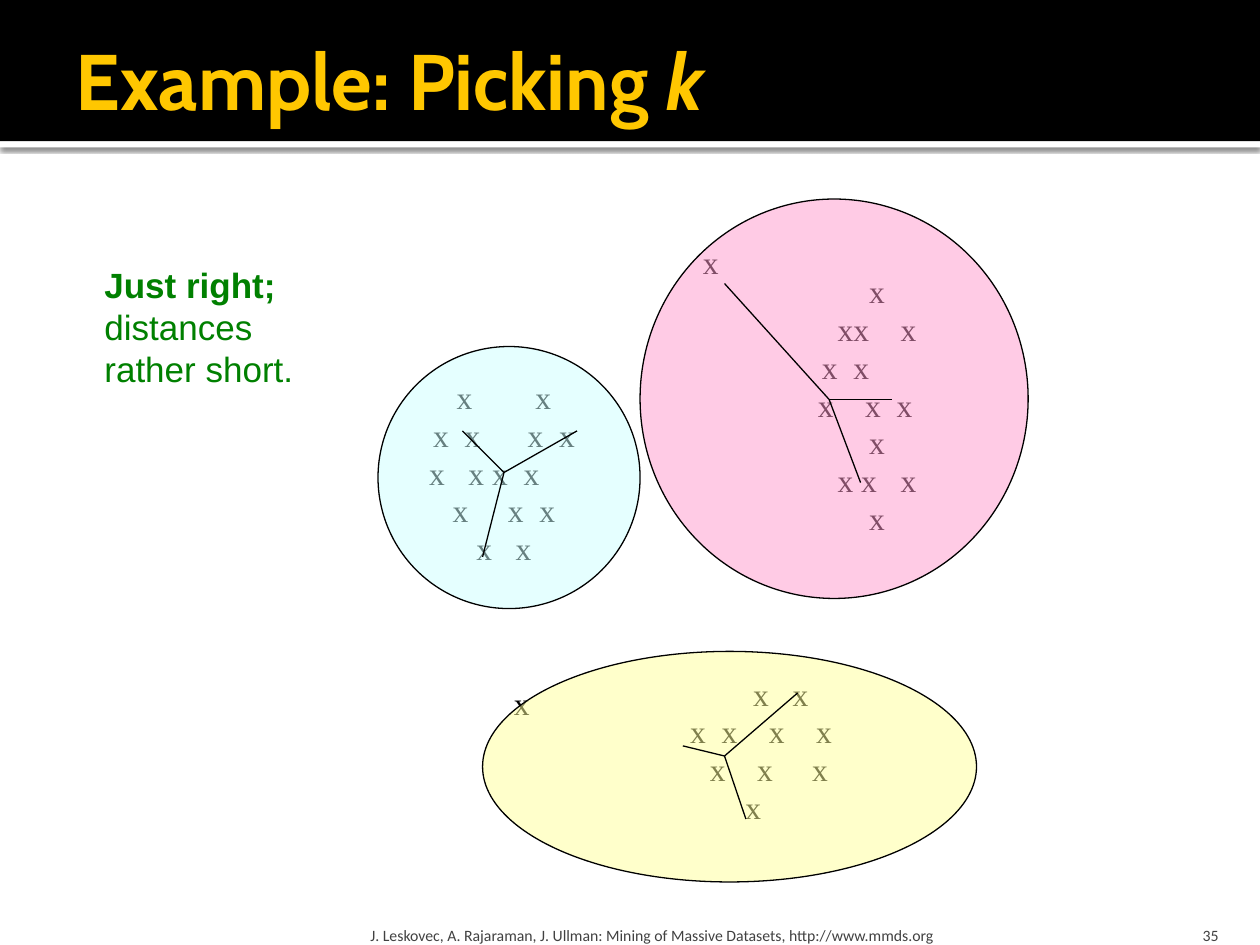
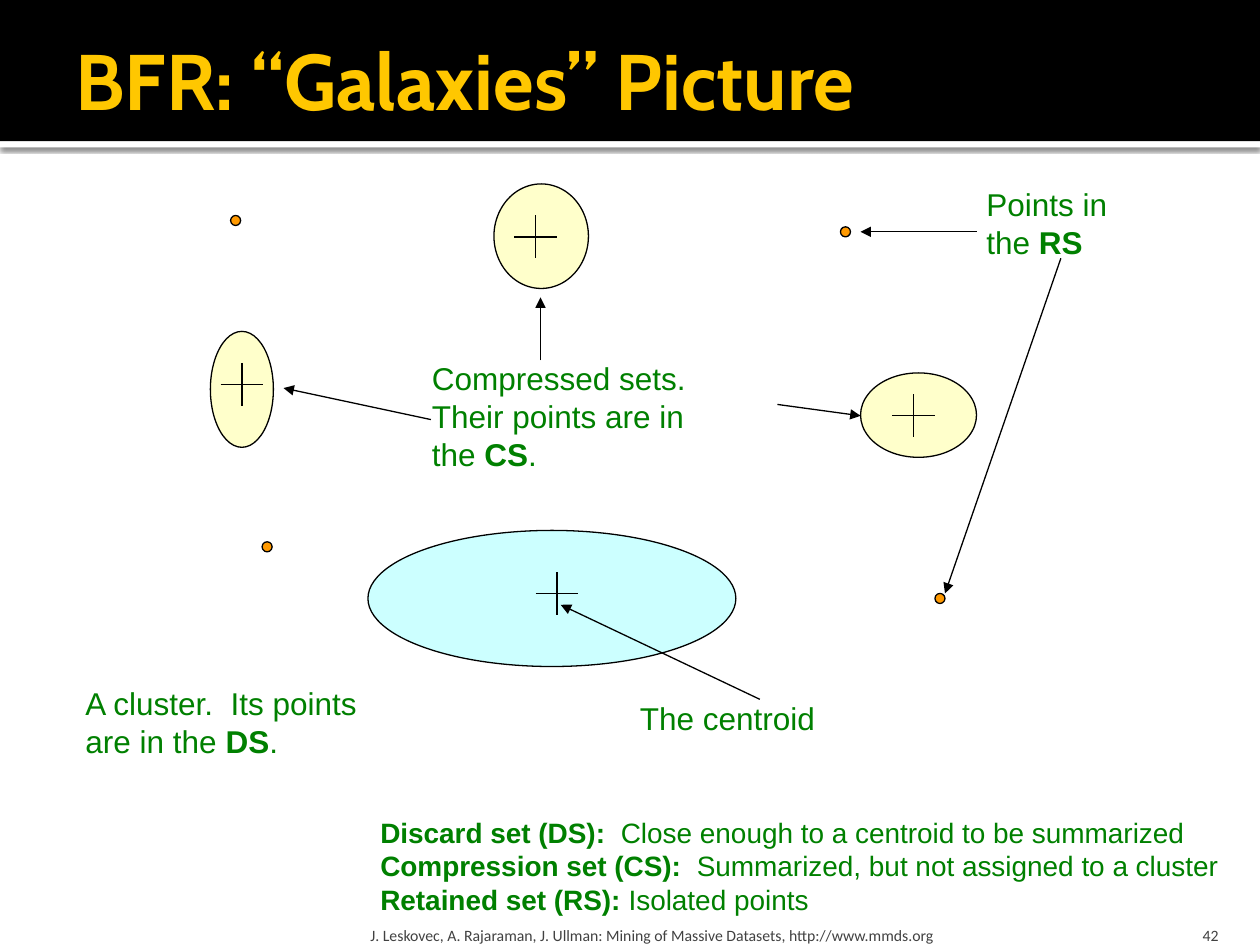
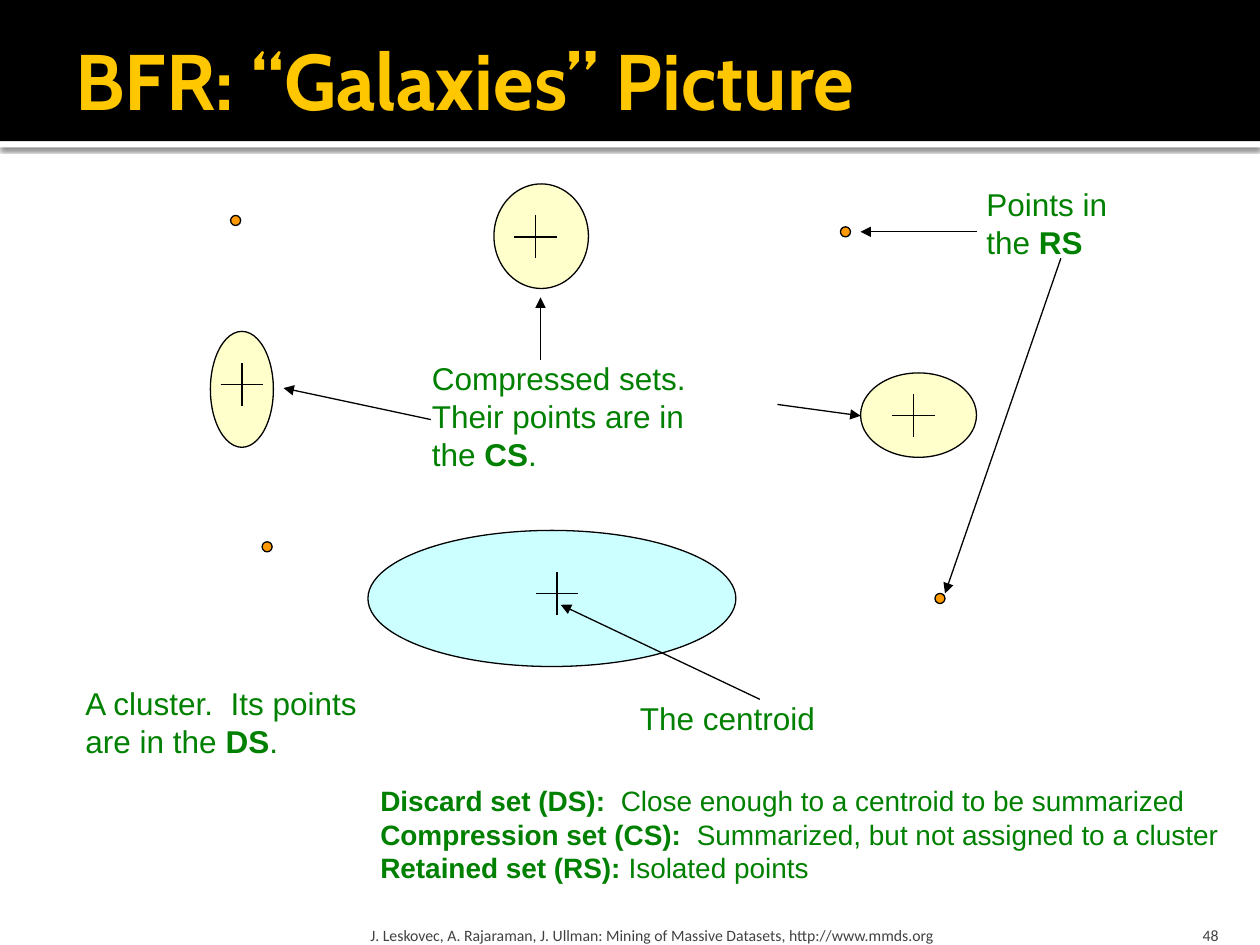
from dataclasses import dataclass

from lxml.etree import SubElement
from pptx import Presentation
from pptx.dml.color import RGBColor
from pptx.enum.shapes import MSO_CONNECTOR, MSO_SHAPE
from pptx.enum.text import MSO_ANCHOR, PP_ALIGN
from pptx.oxml.ns import qn
from pptx.util import Inches, Pt

BLACK = RGBColor(0x00, 0x00, 0x00)
WHITE = RGBColor(0xFF, 0xFF, 0xFF)
GOLD = RGBColor(0xFF, 0xC7, 0x00)
GREY = RGBColor(0x41, 0x41, 0x41)
GREEN = RGBColor(0x00, 0x80, 0x00)
YELLOW = RGBColor(0xFF, 0xFF, 0x99)
CYAN = RGBColor(0xCC, 0xFF, 0xFF)
PINK = RGBColor(0xFF, 0x99, 0xCC)
ORANGE = RGBColor(0xFF, 0x99, 0x00)

FOOTER = "J. Leskovec, A. Rajaraman, J. Ullman: Mining of Massive Datasets, http://www.mmds.org"
INSETS = (0.1, 0.05, 0.1, 0.05)
HALF_X = 0.0625
ELLIPSE_TEXT = 0.3536
CROSS_ARM = 0.17
DOT = 0.08

Box = tuple[float, float, float, float]
Point = tuple[float, float]


@dataclass(frozen=True)
class Scatter:
    """Rows of x marks, placed in half-mark steps from the centre of a box."""
    box: Box
    rows: tuple[tuple[float, ...], ...]


@dataclass(frozen=True)
class Cluster:
    """An outlined cluster with lines from its centroid to some points."""
    box: Box
    color: RGBColor
    hub: Point
    ends: tuple[Point, ...]


@dataclass(frozen=True)
class Label:
    """A green caption whose lines mark bold words with asterisks."""
    box: Box
    lines: tuple[str, ...]
    size: float = 18


@dataclass(frozen=True)
class Galaxy:
    """An ellipse with a cross at its centroid."""
    box: Box
    center: Point
    color: RGBColor
    alpha: int = 100


SCATTERS = (
    Scatter((3, 2.5, 2, 2.5), ((-6, 4), (-9, -5, 3, 7), (-9.5, -4.5, -1.5, 2.5),
                               (-6.5, 0.5, 4.5), (-3.5, 1.5))),
    Scatter((6, 1.67, 1.92, 3.08), ((-1,), (-5, -3, 3), (-7, -3), (-7.5, -1.5, 2.5),
                                    (-1,), (-5, -2, 3), (-1,))),
    Scatter((5, 5.08, 2.08, 1.75), ((-1, 4), (-9, -5, 1, 7), (-6.5, -0.5, 6.5), (-2,))),
)
OUTLIERS = ((5.48, 1.88), (3.98, 5.38))
CLUSTERS = (
    Cluster((3.83, 5.17, 3.92, 1.83), YELLOW, (5.75, 6), ((5.42, 5.92), (6.33, 5.5), (5.92, 6.5))),
    Cluster((3, 2.75, 2.08, 2.08), CYAN, (4, 3.75), ((3.67, 3.42), (4.58, 3.42), (3.83, 4.42))),
    Cluster((5.08, 1.58, 3.08, 3.17), PINK, (6.58, 3.17), ((5.75, 2.25), (7.08, 3.17), (6.83, 3.83))),
)
GALAXIES = (
    Galaxy((2.92, 4.21, 2.92, 1.08), (4.42, 4.71), CYAN),
    Galaxy((1.67, 2.63, 0.5, 0.92), (1.92, 3.05), YELLOW, 50),
    Galaxy((6.83, 2.96, 0.92, 0.67), (7.25, 3.3), YELLOW, 50),
    Galaxy((3.92, 1.46, 0.75, 0.83), (4.25, 1.88), YELLOW, 50),
)
RETAINED = ((1.83, 1.71), (2.08, 4.3), (7.42, 4.71), (6.67, 1.8))
ARROWS = (
    ((6.03, 5.55), (4.45, 4.8)), ((3.42, 3.33), (2.25, 3.08)),
    ((4.29, 2.86), (4.29, 2.36)), ((6.17, 3.21), (6.83, 3.3)),
    ((7.75, 1.84), (6.83, 1.84)), ((8.42, 2.05), (7.5, 4.71)),
)
GALAXY_LABELS = (
    Label((0.58, 5.38, 2.38, 0.71), ("A cluster.  Its points", "are in the *DS*.")),
    Label((4.98, 5.5, 1.6, 0.4), ("The centroid",)),
    Label((3.33, 2.8, 2.24, 1.01), ("Compressed sets.", "Their points are in", "the *CS*.")),
    Label((7.73, 1.42, 1.17, 0.71), ("Points in", "the *RS*")),
)
DEFINITIONS = (
    "*Discard set (DS):*  Close enough to a centroid to be summarized",
    "*Compression set (CS):*  Summarized, but not assigned to a cluster",
    "*Retained set (RS):* Isolated points",
)


def put_text(sp, lines, *, font="Arial", size=18, color=GREEN, bold=False, italic_marks=False,
             align=PP_ALIGN.LEFT, anchor=MSO_ANCHOR.TOP, insets=INSETS, tabs=()) -> None:
    """Fill a shape with lines; asterisks mark emphasis and tabs lists stops per line."""
    tf = sp.text_frame
    tf.word_wrap = True
    tf.vertical_anchor = anchor
    tf.margin_left, tf.margin_top, tf.margin_right, tf.margin_bottom = map(Inches, insets)
    for i, line in enumerate(lines):
        p = tf.paragraphs[0] if i == 0 else tf.add_paragraph()
        p.alignment = align
        if tabs:
            stops = SubElement(p._p.get_or_add_pPr(), qn("a:tabLst"))
            for pos in tabs[i]:
                SubElement(stops, qn("a:tab"), pos=str(Inches(pos)), algn="l")
        for j, part in enumerate(line.split("*")):
            if part:
                r = p.add_run()
                r.text = part
                marked = j % 2 == 1
                r.font.name, r.font.size = font, Pt(size)
                r.font.color.rgb = color
                r.font.bold = bold or (marked and not italic_marks)
                r.font.italic = marked and italic_marks


def add_text(s, box: Box, lines, **style) -> None:
    """Add a text box."""
    put_text(s.shapes.add_textbox(*map(Inches, box)), lines, **style)


def add_shape(s, kind, box: Box, fill=None, line=None, alpha: int = 100):
    """Add a preset shape without a theme shadow."""
    sp = s.shapes.add_shape(kind, *map(Inches, box))
    sp.shadow.inherit = False
    if fill is None:
        sp.fill.background()
    else:
        sp.fill.solid()
        sp.fill.fore_color.rgb = fill
        if alpha < 100:
            clr = sp._element.spPr.find(qn("a:solidFill"))[0]
            SubElement(clr, qn("a:alpha"), val=str(alpha * 1000))
    if line is None:
        sp.line.fill.background()
    else:
        sp.line.color.rgb = line
        sp.line.width = Pt(0.75)
    return sp


def add_line(s, start: Point, end: Point, arrow: bool = False) -> None:
    """Draw a thin black line, with an arrowhead at its end if wanted."""
    c = s.shapes.add_connector(MSO_CONNECTOR.STRAIGHT, *map(Inches, (*start, *end)))
    c.line.color.rgb = BLACK
    c.line.width = Pt(0.75)
    if arrow:
        SubElement(c.line._get_or_add_ln(), qn("a:tailEnd"), type="triangle")
    SubElement(c._element.spPr, qn("a:effectLst"))


def add_frame(prs, title: str, number: int):
    """Add a slide with the title band, footer and page number."""
    s = prs.slides.add_slide(prs.slide_layouts[6])
    strip = add_shape(s, MSO_SHAPE.RECTANGLE, (0, 1.12, 10, 0.05), WHITE)
    effects = strip._element.spPr.find(qn("a:effectLst"))
    shadow = SubElement(effects, qn("a:outerShdw"), blurRad=str(Pt(2.5)), dist=str(Pt(0.8)),
                        dir="5400000", algn="tl", rotWithShape="0")
    SubElement(SubElement(shadow, qn("a:srgbClr"), val=str(BLACK)), qn("a:alpha"), val="60000")
    add_shape(s, MSO_SHAPE.RECTANGLE, (0, 0, 10, 1.12), BLACK)
    add_text(s, (0.5, 0.17, 9, 0.92), [title], font="Cabin", size=45, color=GOLD, bold=True,
             italic_marks=True, anchor=MSO_ANCHOR.MIDDLE, insets=(0.1, 0.05, 0.05, 0.05))
    small = dict(font="Calibri", size=9, color=GREY, anchor=MSO_ANCHOR.BOTTOM)
    add_text(s, (2.89, 7.2, 6.02, 0.3), [FOOTER], insets=(0.05, 0.05, 0.05, 0), **small)
    add_text(s, (8.97, 7.2, 0.8, 0.3), [str(number)], align=PP_ALIGN.RIGHT,
             insets=(0.1, 0.05, 0.1, 0), **small)
    return s


def add_scatter(s, scatter: Scatter, **style) -> None:
    """Write rows of x marks on tab stops; touching marks share a stop."""
    middle = scatter.box[2] * ELLIPSE_TEXT
    lines, tabs = [], []
    for row in scatter.rows:
        starts = [c for i, c in enumerate(row) if i == 0 or c - row[i - 1] > 2]
        lines.append("".join("\tx" if c in starts else "x" for c in row))
        tabs.append([middle + c * HALF_X for c in starts])
    sp = add_shape(s, MSO_SHAPE.OVAL, scatter.box)
    put_text(sp, lines, tabs=tabs, anchor=MSO_ANCHOR.MIDDLE, insets=(0, 0, 0, 0), **style)


def add_galaxy(s, galaxy: Galaxy) -> None:
    """Draw a galaxy and its centroid cross."""
    add_shape(s, MSO_SHAPE.OVAL, galaxy.box, galaxy.color, BLACK, galaxy.alpha)
    x, y = galaxy.center
    add_line(s, (x, y - CROSS_ARM), (x, y + CROSS_ARM))
    add_line(s, (x - CROSS_ARM, y), (x + CROSS_ARM, y))


def build_picking_k(prs, number: int) -> None:
    """Build the slide on choosing the number of clusters."""
    s = add_frame(prs, "Example: Picking *k*", number)
    mark = dict(font="Times New Roman", color=BLACK)
    for scatter in SCATTERS:
        add_scatter(s, scatter, **mark)
    for x, y in OUTLIERS:
        add_text(s, (x, y, 0.37, 0.5), ["x"], **mark)
    for cluster in CLUSTERS:
        add_shape(s, MSO_SHAPE.OVAL, cluster.box, cluster.color, BLACK, 50)
    for cluster in CLUSTERS:
        for end in cluster.ends:
            add_line(s, cluster.hub, end)
    add_text(s, (0.73, 2.04, 1.71, 1.11), ["*Just right;*", "distances", "rather short."], size=20)


def build_galaxies(prs, number: int, definitions_top: float) -> None:
    """Build a slide of galaxies with the three set definitions."""
    s = add_frame(prs, "BFR: “Galaxies” Picture", number)
    for galaxy in GALAXIES:
        add_galaxy(s, galaxy)
    for x, y in RETAINED:
        add_shape(s, MSO_SHAPE.OVAL, (x, y, DOT, DOT), ORANGE, BLACK)
    definitions = Label((2.92, definitions_top, 7, 0.91), DEFINITIONS, 16)
    for label in (*GALAXY_LABELS, definitions):
        add_text(s, label.box, label.lines, size=label.size)
    for start, end in ARROWS:
        add_line(s, start, end, arrow=True)


def main() -> None:
    """Build and save the presentation."""
    prs = Presentation()
    prs.slide_width, prs.slide_height = Inches(10), Inches(7.5)
    build_picking_k(prs, 35)
    build_galaxies(prs, 42, 6.42)
    build_galaxies(prs, 48, 6.17)
    prs.save("out.pptx")


if __name__ == "__main__":
    main()
